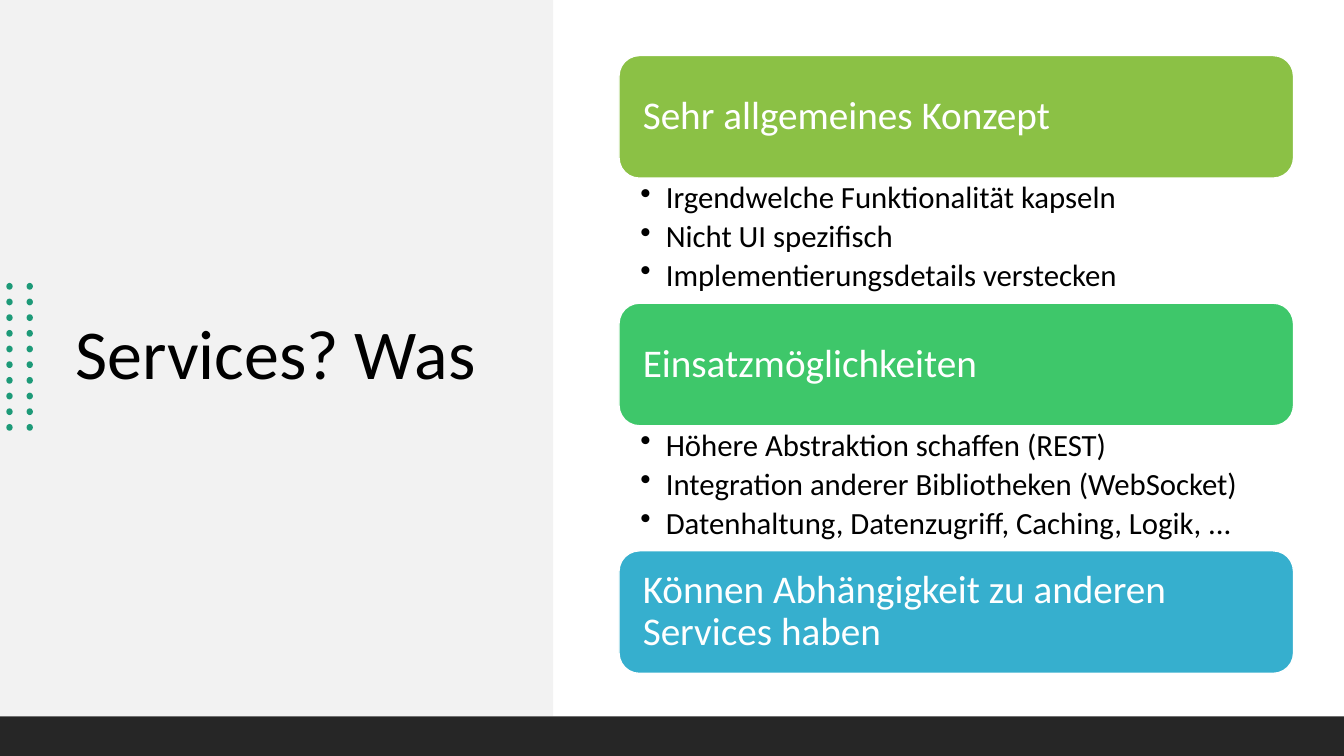
"""Build the slide that explains what services are."""
import pptx
import pptx.dml.color
import pptx.enum.shapes
import pptx.enum.text
import pptx.oxml.ns
import pptx.util
from lxml import etree

Cm = pptx.util.Cm
Pt = pptx.util.Pt
Kind = pptx.enum.shapes.MSO_SHAPE
Anchor = pptx.enum.text.MSO_ANCHOR

COLOURS = {
    "panel": "F2F2F2",
    "footer": "262626",
    "dot": "1D9A78",
    "lime": "8BC145",
    "green": "3EC76A",
    "blue": "36AFCE",
    "white": "FFFFFF",
    "black": "000000",
}

TOPICS = [
    ("Sehr allgemeines Konzept", "lime", [
        "Irgendwelche Funktionalität kapseln",
        "Nicht UI spezifisch",
        "Implementierungsdetails verstecken",
    ]),
    ("Einsatzmöglichkeiten", "green", [
        "Höhere Abstraktion schaffen (REST)",
        "Integration anderer Bibliotheken (WebSocket)",
        "Datenhaltung, Datenzugriff, Caching, Logik, ...",
    ]),
    ("Können Abhängigkeit zu anderen Services haben", "blue", []),
]

deck = pptx.Presentation()
deck.slide_width = Cm(33.87)
deck.slide_height = Cm(19.05)
page = deck.slides.add_slide(deck.slide_layouts[6])


def add_block(kind, left, top, width, height, colour, outline=None):
    block = page.shapes.add_shape(kind, Cm(left), Cm(top), Cm(width), Cm(height))
    block.shadow.inherit = False
    block.fill.solid()
    block.fill.fore_color.rgb = pptx.dml.color.RGBColor.from_string(COLOURS[colour])
    if outline:
        block.line.color.rgb = pptx.dml.color.RGBColor.from_string(COLOURS[outline])
        block.line.width = Pt(1)
    else:
        block.line.fill.background()
    return block


def write(box, *lines, size, colour="black", anchor=Anchor.MIDDLE,
          side=0.25, edge=0.13, after=0, bullet=False):
    frame = box.text_frame
    frame.word_wrap = True
    frame.vertical_anchor = anchor
    frame.margin_left = frame.margin_right = Cm(side)
    frame.margin_top = frame.margin_bottom = Cm(edge)
    for number, line in enumerate(lines):
        para = frame.add_paragraph() if number else frame.paragraphs[0]
        if bullet:
            properties = para._p.get_or_add_pPr()
            properties.set("marL", str(Cm(0.64)))
            properties.set("indent", str(-Cm(0.64)))
            mark = etree.SubElement(properties, pptx.oxml.ns.qn("a:buChar"))
            mark.set("char", "•")
        para.alignment = pptx.enum.text.PP_ALIGN.LEFT
        para.line_spacing = 0.9
        para.space_after = Pt(after)
        span = para.add_run()
        span.text = line
        span.font.name = "Calibri"
        span.font.size = Pt(size)
        span.font.color.rgb = pptx.dml.color.RGBColor.from_string(COLOURS[colour])


add_block(Kind.RECTANGLE, 0, 0, 13.94, 18.04, "panel")
title = page.shapes.add_textbox(Cm(1.65), Cm(3.35), Cm(10.77), Cm(11.28))
write(title, "Services? Was", size=50)

for row in range(10):
    for left in (0.16, 0.67):
        add_block(Kind.OVAL, left, 7.13 + row * 0.395, 0.16, 0.17, "dot")

add_block(Kind.RECTANGLE, 0, 18.05, 33.87, 1, "footer")

card_left, card_width, card_height, list_height = 15.6, 17, 3.09, 3.15
for number, (heading, colour, points) in enumerate(TOPICS):
    top = 1.4 + number * (card_height + list_height)
    card = add_block(Kind.ROUNDED_RECTANGLE, card_left, top, card_width, card_height,
                     colour, outline="white")
    write(card, heading, size=28, colour="white", side=0.45, edge=0.45)
    if points:
        box = page.shapes.add_textbox(Cm(card_left), Cm(top + card_height),
                                      Cm(card_width), Cm(list_height))
        write(box, *points, size=22, anchor=Anchor.TOP, side=0.54, edge=0.1,
              after=4, bullet=True)

deck.save("out.pptx")
